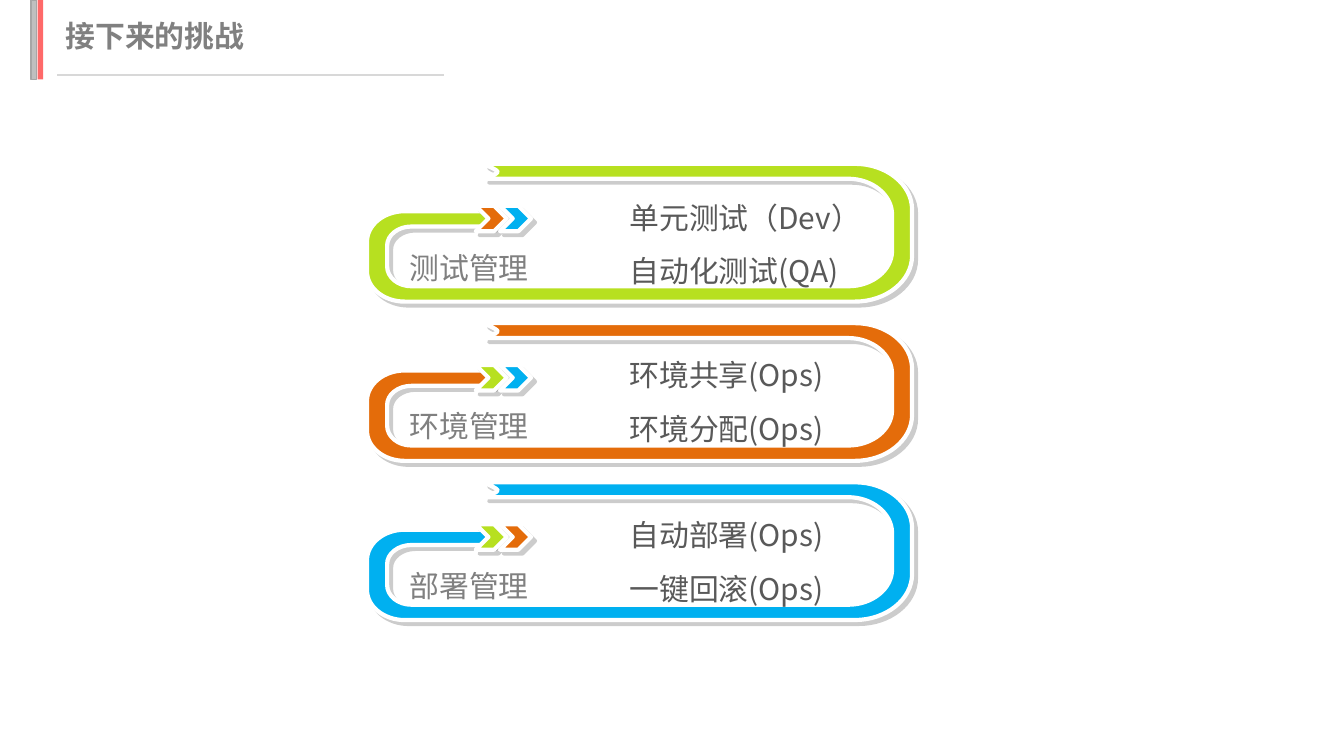
import dataclasses

import lxml.etree
import pptx
import pptx.dml.color
import pptx.enum.shapes
import pptx.enum.text
import pptx.oxml.ns
import pptx.shapes.base
import pptx.slide
import pptx.text.text
import pptx.util

Pt = pptx.util.Pt
qn = pptx.oxml.ns.qn
Align = pptx.enum.text.PP_ALIGN
Preset = pptx.enum.shapes.MSO_SHAPE
Point = tuple[float, float]


@dataclasses.dataclass(frozen=True)
class Theme:
    font: str = "Noto Sans CJK SC"
    text_size: float = 16
    heading: str = "808080"
    body: str = "595959"
    green: str = "B7E020"
    orange: str = "E46C0A"
    blue: str = "00B0F0"
    white: str = "FFFFFF"
    grey_bar: str = "BFBFBF"
    grey_edge: str = "A6A6A6"
    red_bar: str = "FF6969"
    rule: str = "D8D8D8"
    shadow: str = "000000"
    hairline: float = 0.75
    outline: float = 2.25


@dataclasses.dataclass(frozen=True)
class Box:
    left: float
    top: float
    width: float
    height: float

    def lengths(self) -> tuple[int, int, int, int]:
        return Pt(self.left), Pt(self.top), Pt(self.width), Pt(self.height)


@dataclasses.dataclass(frozen=True)
class Step:
    """One piece of an outline: a line, or a curve if it has controls."""
    end: Point
    controls: tuple[Point, ...] = ()


@dataclasses.dataclass(frozen=True)
class Panel:
    label: str
    items: tuple[str, ...]
    color: str
    chevrons: tuple[str, str]
    text_top: float


def corner(start: Point, tip: Point, end: Point) -> tuple[Step, Step]:
    """Line to start, then a quarter ellipse around tip to end."""
    controls = tuple(tuple(a + (t - a) * 0.55 for a, t in zip(anchor, tip))
                     for anchor in (start, end))
    return Step(start), Step(end, controls)


THEME = Theme()
PANELS = (
    Panel("测试管理", ("单元测试（Dev）", "自动化测试(QA)"), THEME.green,
          (THEME.orange, THEME.blue), 93.6),
    Panel("环境管理", ("环境共享(Ops)", "环境分配(Ops)"), THEME.orange,
          (THEME.green, THEME.blue), 178.2),
    Panel("部署管理", ("自动部署(Ops)", "一键回滚(Ops)"), THEME.blue,
          (THEME.green, THEME.orange), 263.9),
)
PANEL_LEFT, PANEL_TOP, PANEL_PITCH = 196.6, 87.8, 85.3

# Ring outline, relative to the panel's top left corner
RING_START: Point = (63.4, 0)
RING: tuple[Step, ...] = (
    *corner((261.4, 0), (292, 0), (292, 24.5)),
    *corner((292, 49.2), (292, 73.8), (261.4, 73.8)),
    *corner((20.2, 73.8), (0, 73.8), (0, 57.7)),
    *corner((0, 41.7), (0, 25.4), (20.2, 25.4)),
    Step((67, 25.4)), Step((67, 33.6)),
    *corner((23.8, 33.6), (10.8, 33.6), (10.8, 43.8)),
    *corner((10.8, 55), (10.8, 65.6), (23.8, 65.6)),
    *corner((257.8, 65.6), (281.3, 65.6), (281.3, 46.6)),
    *corner((281.3, 27.2), (281.3, 8), (257.8, 8)),
    Step((63.4, 8)),
    Step((70, 4.5), ((63.4, 6.4), (70, 6))),
    Step(RING_START, ((70, 3), (63.4, 1))),
)


def rgb(color: str) -> pptx.dml.color.RGBColor:
    return pptx.dml.color.RGBColor.from_string(color)


def write_text(frame: pptx.text.text.TextFrame, *lines: str, color: str,
               align: Align = Align.LEFT, bold: bool = False,
               spacing: float = 1.0) -> None:
    frame.word_wrap = True
    frame.vertical_anchor = pptx.enum.text.MSO_ANCHOR.TOP
    for index, line in enumerate(lines):
        paragraph = frame.add_paragraph() if index else frame.paragraphs[0]
        paragraph.alignment = align
        paragraph.line_spacing = spacing
        run = paragraph.add_run()
        run.text = line
        run.font.name = THEME.font
        run.font.size = Pt(THEME.text_size)
        run.font.bold = bold
        run.font.color.rgb = rgb(color)
        lxml.etree.SubElement(run._r.get_or_add_rPr(), qn("a:ea"),
                              typeface=THEME.font)


def add_text(slide: pptx.slide.Slide, box: Box, *lines: str, **style) -> None:
    frame = slide.shapes.add_textbox(*box.lengths()).text_frame
    frame.auto_size = pptx.enum.text.MSO_AUTO_SIZE.SHAPE_TO_FIT_TEXT
    write_text(frame, *lines, **style)


def paint(shape: pptx.shapes.base.BaseShape, fill: str, edge: str | None = None,
          edge_width: float = THEME.hairline, shadow: bool = False) -> None:
    shape.shadow.inherit = False
    shape.fill.solid()
    shape.fill.fore_color.rgb = rgb(fill)
    if edge:
        shape.line.color.rgb = rgb(edge)
        shape.line.width = Pt(edge_width)
    else:
        shape.line.fill.background()
    if shadow:
        effects = shape._element.spPr.find(qn("a:effectLst"))
        outer = lxml.etree.SubElement(effects, qn("a:outerShdw"), blurRad="0",
                                      dist=str(Pt(3)), dir="2700000", algn="tl",
                                      rotWithShape="0")
        tint = lxml.etree.SubElement(outer, qn("a:srgbClr"), val=THEME.shadow)
        lxml.etree.SubElement(tint, qn("a:alpha"), val="20000")


def add_ring(slide: pptx.slide.Slide, top: float) -> pptx.shapes.base.BaseShape:
    def place(point: Point) -> tuple[int, int]:
        return Pt(PANEL_LEFT + point[0]), Pt(top + point[1])

    builder = slide.shapes.build_freeform(*place(RING_START))
    builder.add_line_segments([place(step.end) for step in RING], close=True)
    ring = builder.convert_to_shape()
    # Turn the lines that have controls into curves
    lines = list(ring._element.iter(qn("a:lnTo")))
    for line, step in zip(lines, RING):
        if step.controls:
            curve = lxml.etree.Element(qn("a:cubicBezTo"))
            for x, y in (*step.controls, step.end):
                lxml.etree.SubElement(curve, qn("a:pt"), x=str(Pt(x)), y=str(Pt(y)))
            line.getparent().replace(line, curve)
    return ring


def add_header(slide: pptx.slide.Slide, text: str) -> None:
    for left, fill, edge in ((16.6, THEME.grey_bar, THEME.grey_edge),
                             (20.2, THEME.red_bar, None)):
        bar = slide.shapes.add_shape(Preset.RECTANGLE,
                                     *Box(left, 0, 2.9, 42.5).lengths())
        paint(bar, fill, edge)
    title = slide.shapes.title
    title.left, title.top, title.width, title.height = Box(28, 5.8, 228, 26.6).lengths()
    title.text_frame.auto_size = pptx.enum.text.MSO_AUTO_SIZE.NONE
    write_text(title.text_frame, text, color=THEME.heading, bold=True)
    rule = slide.shapes.add_connector(pptx.enum.shapes.MSO_CONNECTOR.STRAIGHT,
                                      Pt(30.8), Pt(40.3), Pt(238), Pt(40.3))
    rule.line.color.rgb = rgb(THEME.rule)
    rule.line.width = Pt(THEME.hairline)
    lxml.etree.SubElement(rule._element.spPr, qn("a:effectLst"))


def add_panel(slide: pptx.slide.Slide, panel: Panel, top: float) -> None:
    paint(add_ring(slide, top), panel.color, THEME.white, THEME.outline, True)
    # Chevrons
    for index, color in enumerate(panel.chevrons):
        box = Box(PANEL_LEFT + 58.3 + 13 * index, top + 22.5, 16.6, 13.6)
        chevron = slide.shapes.add_shape(Preset.CHEVRON, *box.lengths())
        paint(chevron, color, THEME.white, THEME.outline, True)
    # Label and items
    add_text(slide, Box(211, panel.text_top + 31, 80.6, 30.2), panel.label,
             color=THEME.heading, align=Align.CENTER, spacing=1.3)
    add_text(slide, Box(330.2, panel.text_top, 187.2, 65.5), *panel.items,
             color=THEME.body, align=Align.JUSTIFY, spacing=1.5)


def main() -> None:
    presentation = pptx.Presentation()
    presentation.slide_width, presentation.slide_height = Pt(720), Pt(405)
    slide = presentation.slides.add_slide(presentation.slide_layouts[5])
    add_header(slide, "接下来的挑战")
    for index, panel in enumerate(PANELS):
        add_panel(slide, panel, PANEL_TOP + PANEL_PITCH * index)
    presentation.save("out.pptx")


if __name__ == "__main__":
    main()
